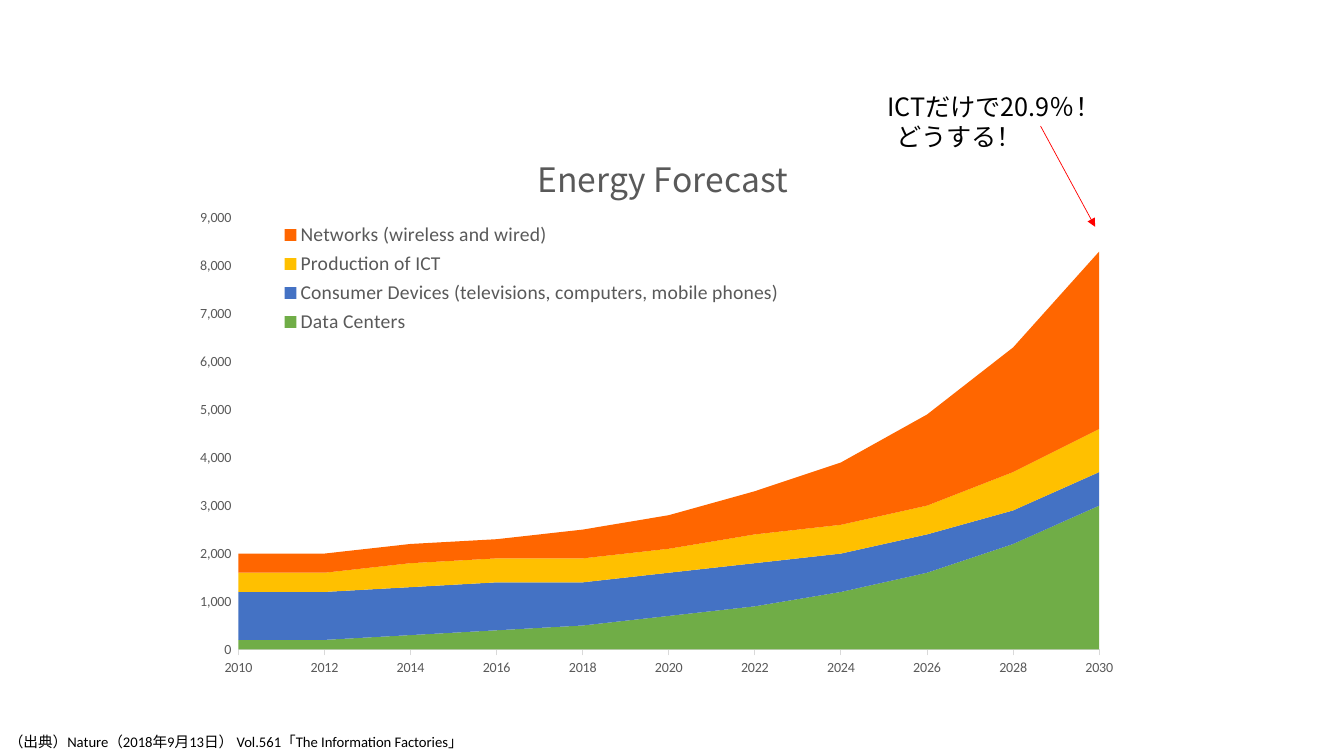
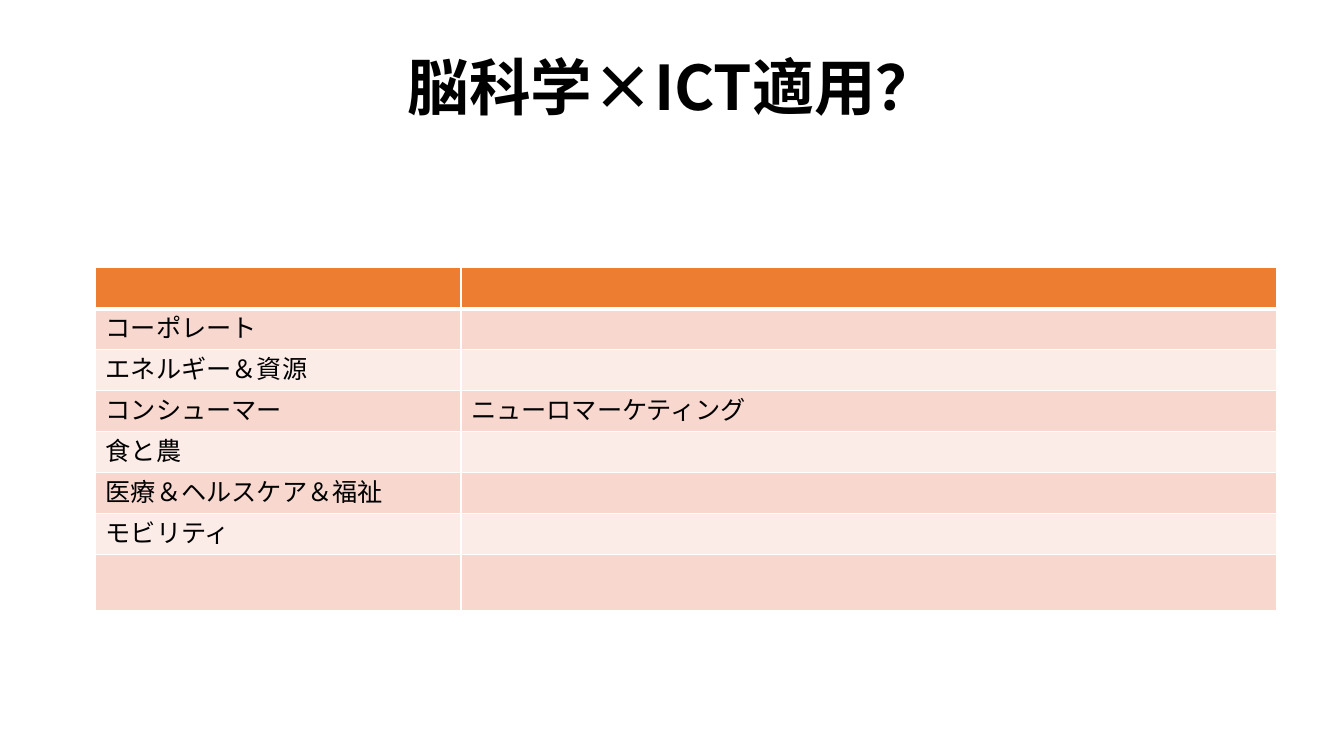
from dataclasses import dataclass

from lxml.etree import SubElement
from pptx import Presentation
from pptx.chart.data import CategoryChartData
from pptx.dml.color import RGBColor
from pptx.enum.chart import XL_CHART_TYPE, XL_LEGEND_POSITION, XL_TICK_MARK
from pptx.enum.shapes import MSO_CONNECTOR
from pptx.enum.text import MSO_ANCHOR, PP_ALIGN
from pptx.oxml import parse_xml
from pptx.oxml.ns import nsdecls, qn
from pptx.util import Emu, Pt

EMU_PER_PX = 9525


@dataclass(frozen=True)
class Theme:
    latin: str = "Calibri"
    japanese: str = "Noto Sans CJK JP"
    text: str = "000000"
    chart_text: str = "595959"
    axis_line: str = "D9D9D9"
    arrow: str = "FF0000"
    header: str = "ED7D31"
    bands: tuple = ("F8D7CE", "FCECE8")
    border: str = "FFFFFF"
    title_size: float = 44
    chart_title_size: float = 24
    body_size: float = 18
    legend_size: float = 14
    axis_size: float = 10
    source_size: float = 10.5


THEME = Theme()

YEARS = [str(year) for year in range(2010, 2031, 2)]
ENERGY_SERIES = [
    ("Data Centers", "70AD47",
     (200, 200, 300, 400, 500, 700, 900, 1200, 1600, 2200, 3000)),
    ("Consumer Devices (televisions, computers, mobile phones)", "4472C4",
     (1000, 1000, 1000, 1000, 900, 900, 900, 800, 800, 700, 700)),
    ("Production of ICT", "FFC000",
     (400, 400, 500, 500, 500, 500, 600, 600, 600, 800, 900)),
    ("Networks (wireless and wired)", "FF6600",
     (400, 400, 400, 400, 600, 700, 900, 1300, 1900, 2600, 3700)),
]
APPLICATIONS = [
    ("", ""),
    ("コーポレート", ""),
    ("エネルギー＆資源", ""),
    ("コンシューマー", "ニューロマーケティング"),
    ("食と農", ""),
    ("医療＆ヘルスケア＆福祉", ""),
    ("モビリティ", ""),
    ("", ""),
]


def px(*lengths):
    return [Emu(length * EMU_PER_PX) for length in lengths]


def style_font(font, size, color, name, bold=False):
    font.size = Pt(size)
    font.bold = bold
    font.name = name
    font.color.rgb = RGBColor.from_string(color)


def style_paragraph(para, size, name, align=PP_ALIGN.LEFT, bold=False):
    para.alignment = align
    for span in para.runs:
        style_font(span.font, size, THEME.text, name, bold)
        properties = span.font._element
        east_asian = SubElement(properties, qn("a:ea"), typeface=name)
        properties.find(qn("a:latin")).addnext(east_asian)


def add_text(page, bounds, lines, size, name):
    box = page.shapes.add_textbox(*px(*bounds))
    frame = box.text_frame
    frame.word_wrap = True
    frame.text = "\n".join(lines)
    for para in frame.paragraphs:
        style_paragraph(para, size, name)
    return frame.paragraphs


def add_title(page, bounds, text):
    title = page.shapes.title
    title.left, title.top, title.width, title.height = px(*bounds)
    frame = title.text_frame
    frame.text = text
    frame.vertical_anchor = MSO_ANCHOR.MIDDLE
    style_paragraph(frame.paragraphs[0], THEME.title_size, THEME.japanese,
                    PP_ALIGN.CENTER, bold=True)


def add_arrow(page, start, end):
    arrow = page.shapes.add_connector(MSO_CONNECTOR.STRAIGHT, *px(*start, *end))
    arrow.line.color.rgb = RGBColor.from_string(THEME.arrow)
    arrow.line.width = Pt(0.5)
    SubElement(arrow.line._get_or_add_ln(), qn("a:tailEnd"), type="triangle")
    SubElement(arrow._element.spPr, qn("a:effectLst"))


def place_chart_part(element, target="", **fractions):
    for old in element.findall(qn("c:layout")):
        element.remove(old)
    inner = f'<c:layoutTarget val="{target}"/>' if target else ""
    modes = "".join(f'<c:{key}Mode val="edge"/>' for key in "xy")
    sizes = "".join(f'<c:{key} val="{value}"/>' for key, value in fractions.items())
    layout = parse_xml(f'<c:layout {nsdecls("c")}><c:manualLayout>'
                       f'{inner}{modes}{sizes}</c:manualLayout></c:layout>')
    overlay = element.find(qn("c:overlay"))
    if overlay is None:
        element.insert(0, layout)
    else:
        overlay.addprevious(layout)


def style_axis(axis, tick):
    axis.major_tick_mark = tick
    axis.minor_tick_mark = XL_TICK_MARK.NONE
    axis.has_major_gridlines = False
    style_font(axis.tick_labels.font, THEME.axis_size, THEME.chart_text, THEME.latin)


def add_area_chart(page, bounds, title):
    data = CategoryChartData()
    data.categories = YEARS
    for name, _, values in ENERGY_SERIES:
        data.add_series(name, values)
    chart = page.shapes.add_chart(XL_CHART_TYPE.AREA_STACKED, *px(*bounds), data).chart
    style_font(chart.font, THEME.axis_size, THEME.text, THEME.latin)
    plot = chart.plots[0]
    plot.vary_by_categories = False
    for series, (_, color, _) in zip(plot.series, ENERGY_SERIES):
        series.format.fill.solid()
        series.format.fill.fore_color.rgb = RGBColor.from_string(color)

    years, energy = chart.category_axis, chart.value_axis
    style_axis(years, XL_TICK_MARK.OUTSIDE)
    years.format.line.color.rgb = RGBColor.from_string(THEME.axis_line)
    years.format.line.width = Pt(0.75)
    style_axis(energy, XL_TICK_MARK.NONE)
    energy.format.line.fill.background()
    energy.minimum_scale, energy.maximum_scale, energy.major_unit = 0, 9000, 1000
    energy.tick_labels.number_format = r"#,##0_);[Red]\(#,##0\)"
    energy.tick_labels.number_format_is_linked = False
    energy._element.find(qn("c:crossBetween")).set("val", "midCat")

    chart.has_title = True
    chart.chart_title.text_frame.text = title
    span = chart.chart_title.text_frame.paragraphs[0].runs[0]
    style_font(span.font, THEME.chart_title_size, THEME.chart_text, THEME.japanese)
    chart.has_legend = True
    legend = chart.legend
    legend.position = XL_LEGEND_POSITION.RIGHT
    legend.include_in_layout = True
    style_font(legend.font, THEME.legend_size, THEME.chart_text, THEME.latin)

    plot_area = chart._chartSpace.chart.plotArea
    place_chart_part(plot_area, "inner", x=0.06, y=0.18, w=0.91, h=0.75)
    place_chart_part(chart.chart_title._element, x=0.37, y=0.05)
    place_chart_part(legend._element, x=0.1, y=0.18, w=0.54, h=0.21)


def style_cell(cell, color, bottom_width):
    properties = cell._tc.get_or_add_tcPr()
    for side, width in (("L", 1), ("R", 1), ("T", 1), ("B", bottom_width)):
        line = SubElement(properties, qn(f"a:ln{side}"), w=str(Pt(width)))
        fill = SubElement(line, qn("a:solidFill"))
        SubElement(fill, qn("a:srgbClr"), val=THEME.border)
    cell.fill.solid()
    cell.fill.fore_color.rgb = RGBColor.from_string(color)


def add_banded_table(page, left, top, widths, heights, rows):
    bounds = px(left, top, sum(widths), sum(heights))
    table = page.shapes.add_table(len(rows), len(widths), *bounds).table
    table.horz_banding = False
    for column, width in zip(table.columns, px(*widths)):
        column.width = width
    for row, height in zip(table.rows, px(*heights)):
        row.height = height
    for row_index, texts in enumerate(rows):
        is_header = row_index == 0
        color = THEME.header if is_header else THEME.bands[(row_index - 1) % 2]
        for column_index, text in enumerate(texts):
            cell = table.cell(row_index, column_index)
            style_cell(cell, color, 3 if is_header else 1)
            if text:
                cell.text = text
                style_paragraph(cell.text_frame.paragraphs[0],
                                THEME.body_size, THEME.latin)


def build_forecast(deck):
    page = deck.slides.add_slide(deck.slide_layouts[6])
    add_text(page, (-1, 693, 656, 27),
             ["（出典）Nature（2018年9月13日） Vol.561「The Information Factories」"],
             THEME.source_size, THEME.latin)
    add_area_chart(page, (173, 109, 901, 548), "Energy Forecast")
    add_arrow(page, (991, 120), (1043, 216))
    headline, question = add_text(page, (796, 82, 301, 68),
                                  ["ICTだけで20.9％！", "どうする！"],
                                  THEME.body_size, THEME.japanese)
    headline.alignment = PP_ALIGN.CENTER
    question._p.get_or_add_pPr().set("marL", str(Pt(2 * THEME.body_size)))
    for para in (headline, question):
        para.line_spacing = Pt(21.5)


def build_applications(deck):
    page = deck.slides.add_slide(deck.slide_layouts[5])
    add_title(page, (275, 41, 731, 81), "脳科学×ICT適用？")
    add_banded_table(page, 91, 255, (348, 777), (39,) * 7 + (54,), APPLICATIONS)


def main():
    deck = Presentation()
    deck.slide_width, deck.slide_height = px(1280, 720)
    build_forecast(deck)
    build_applications(deck)
    deck.save("out.pptx")


if __name__ == "__main__":
    main()
